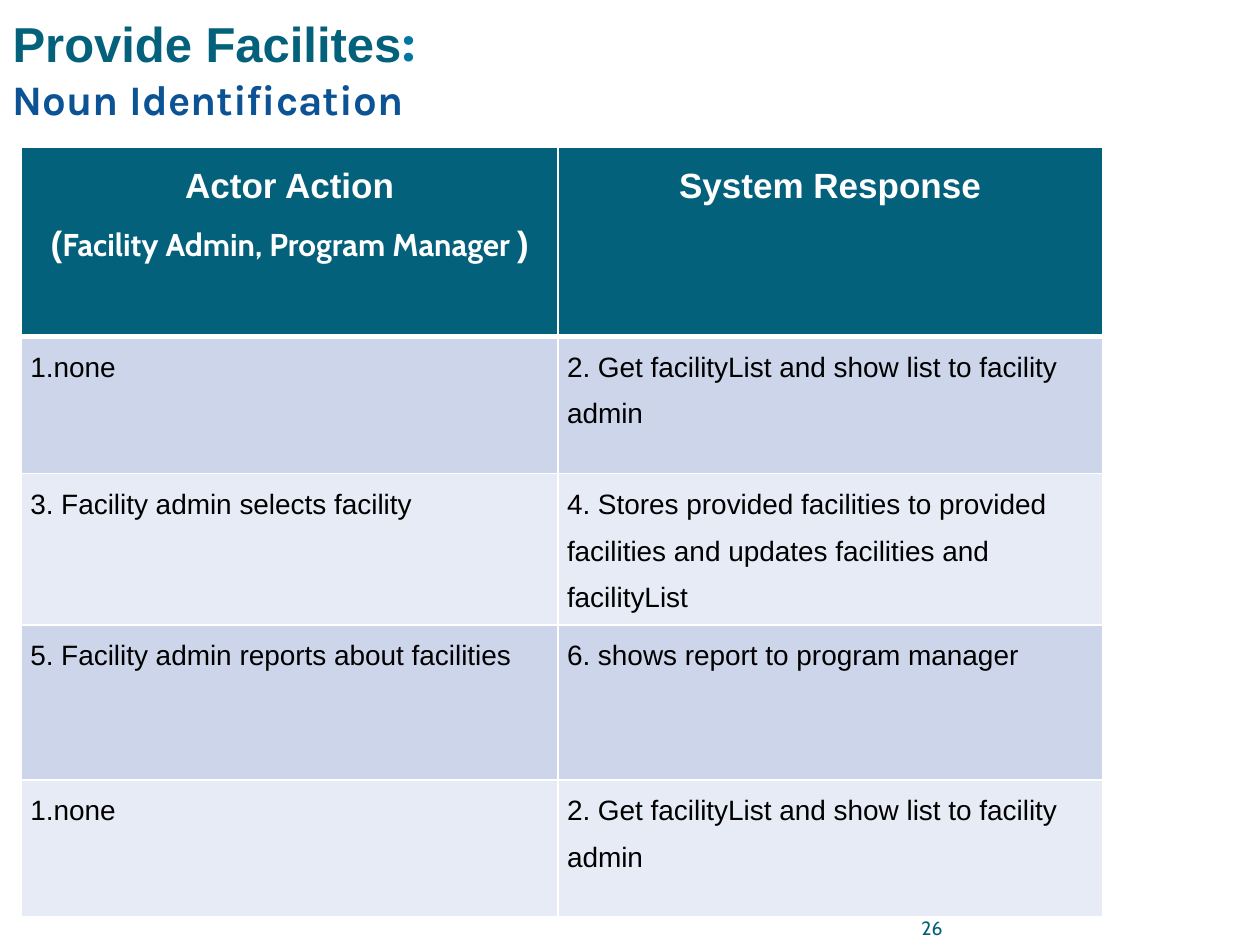
from pptx import Presentation
from pptx.dml.color import RGBColor as Rgb
from pptx.enum.text import MSO_ANCHOR as Anchor, MSO_AUTO_SIZE as Fit, PP_ALIGN as Align
from pptx.oxml import parse_xml
from pptx.oxml.ns import nsdecls
from pptx.util import Cm, Pt

THEME = {
    "teal": "04617B", "cyan": "0076A3", "blue": "0B5394",
    "white": "FFFFFF", "black": "000000", "bands": ("CCD5EA", "E7EBF5"),
    "title": 28, "colon": 32, "sub": 24, "head": 20, "actor": 18,
    "body": 16, "page": 11,
    "main": "Arial", "accent": "Karla", "soft": "Cabin",
}

# Each run: text, size, font, colour
TITLE = [
    [("Provide Facilites", "title", "main", "teal"), (":", "colon", "accent", "cyan")],
    [("Noun Identification", "sub", "accent", "blue")],
]
HEADS = [
    [[("Actor Action", "head", "main", "white")],
     [("(", "head", "main", "white"),
      ("Facility Admin, Program Manager ", "actor", "soft", "white"),
      (")", "head", "main", "white")]],
    [[("System Response", "head", "main", "white")]],
]
STEPS = [
    ("1.none", "2. Get facilityList and show list to facility admin"),
    ("3. Facility admin selects facility",
     "4. Stores provided facilities to provided facilities and updates facilities and facilityList"),
    ("5. Facility admin reports about facilities", "6. shows report to program manager"),
    ("1.none", "2. Get facilityList and show list to facility admin"),
]
PAGE = "26"
COLS = (10.82, 10.97)
ROWS = (3.82, 2.77, 3.05, 3.12, 2.77)


def write(frame, paras, bold=True, align=Align.LEFT, space=None, after=0):
    for i, runs in enumerate(paras):
        para = frame.paragraphs[0] if i == 0 else frame.add_paragraph()
        para.alignment = align
        para.space_after = Pt(after)
        if space:
            para.line_spacing = space
        for text, size, face, color in runs:
            run = para.add_run()
            run.text = text
            font = run.font
            font.size = Pt(THEME[size])
            font.name = THEME[face]
            font.bold = bold
            font.color.rgb = Rgb.from_string(THEME[color])


def dress(cell, fill, base):
    """Set margins, white borders and fill; base is the bottom line width."""
    cell.margin_left = cell.margin_right = Cm(0.18)
    cell.margin_top = cell.margin_bottom = 0
    props = cell._tc.get_or_add_tcPr()
    for side, width in (("L", 1), ("R", 1), ("T", 1), ("B", base)):
        props.append(parse_xml(
            f'<a:ln{side} {nsdecls("a")} w="{Pt(width)}"><a:solidFill>'
            f'<a:srgbClr val="{THEME["white"]}"/></a:solidFill></a:ln{side}>'))
    cell.fill.solid()
    cell.fill.fore_color.rgb = Rgb.from_string(fill)


def add_title(slide):
    title = slide.shapes.title
    title.left, title.top, title.width, title.height = 0, 0, Cm(22.66), Cm(2.64)
    frame = title.text_frame
    frame.auto_size = Fit.NONE
    frame.vertical_anchor = Anchor.TOP
    write(frame, TITLE)


def add_steps(slide):
    table = slide.shapes.add_table(
        len(ROWS), len(COLS), Cm(0.43), Cm(2.96), Cm(sum(COLS)), Cm(sum(ROWS))).table
    for col, width in zip(table.columns, COLS):
        col.width = Cm(width)
    for row, height in zip(table.rows, ROWS):
        row.height = Cm(height)
    for c, paras in enumerate(HEADS):
        cell = table.cell(0, c)
        dress(cell, THEME["teal"], 3)
        write(cell.text_frame, paras, align=Align.CENTER, space=1.5)
    for r, step in enumerate(STEPS):
        for c, text in enumerate(step):
            cell = table.cell(r + 1, c)
            dress(cell, THEME["bands"][r % 2], 1)
            write(cell.text_frame, [[(text, "body", "main", "black")]],
                  bold=False, space=1.5, after=10)


def add_page(slide):
    frame = slide.shapes.add_textbox(Cm(17.37), Cm(18.29), Cm(1.63), Cm(0.64)).text_frame
    frame.margin_left = frame.margin_right = frame.margin_top = frame.margin_bottom = 0
    frame.word_wrap = True
    frame.vertical_anchor = Anchor.BOTTOM
    write(frame, [[(PAGE, "page", "soft", "teal")]], bold=False, align=Align.RIGHT)


def main():
    deck = Presentation()
    deck.slide_width, deck.slide_height = Cm(25.4), Cm(19.05)
    slide = deck.slides.add_slide(deck.slide_layouts[5])
    add_title(slide)
    add_steps(slide)
    add_page(slide)
    deck.save("out.pptx")


if __name__ == "__main__":
    main()
